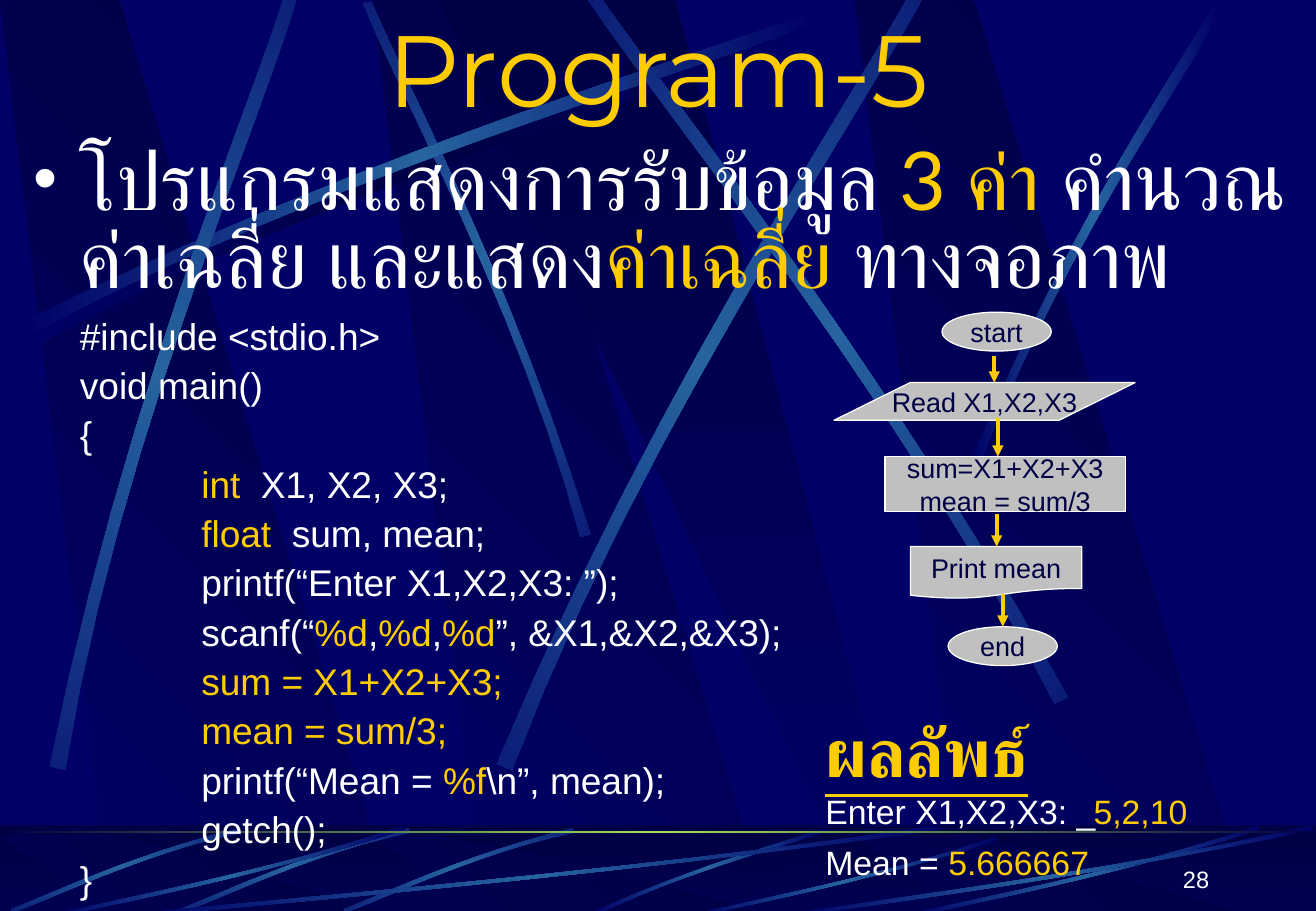
from dataclasses import dataclass
from typing import Any, NamedTuple

import pptx
import pptx.util
import pptx.dml.color
import pptx.enum.shapes
import pptx.enum.text
import pptx.oxml.ns
from lxml import etree

KIND = pptx.enum.shapes.MSO_SHAPE
ALIGN = pptx.enum.text.PP_ALIGN
ANCHOR = pptx.enum.text.MSO_ANCHOR
qn = pptx.oxml.ns.qn


@dataclass(frozen=True)
class Theme:
    navy: str = "000066"
    dark: str = "000044"
    steel: str = "2663A0"
    lime: str = "9CE157"
    gold: str = "FFCC00"
    white: str = "FFFFFF"
    grey: str = "C0C0C0"
    sans: str = "Arial"
    thai: str = "Lato"
    head: str = "Montserrat"
    title: int = 60
    body: int = 48
    result: int = 40
    code: int = 22
    out: int = 20
    node: int = 16
    page: int = 14


T = Theme()
CELL = pptx.util.Inches(0.1)  # one column or row of the grid
COLS, ROWS = 108.4, 75


class Box(NamedTuple):
    col: float
    row: float
    wide: float
    high: float


class Run(NamedTuple):
    text: str
    tint: str = T.white


class Line(NamedTuple):
    runs: list[Run]
    indent: float = 0


class Style(NamedTuple):
    size: int
    font: str = T.sans
    align: Any = ALIGN.LEFT
    space: float = 0
    pitch: float = 1.0
    bold: bool = False
    bullet: bool = False


class Streak(NamedTuple):
    box: Box
    turn: float = 0
    flip: str = ""


class Node(NamedTuple):
    kind: Any
    box: Box
    lines: list[str]


class Arrow(NamedTuple):
    col: float
    start: float
    end: float


SLANT = [(0.28, 1), (1, 1), (0.3, 0), (0, 0)]
WEDGE = [(0, 0), (0.9, 1), (1, 1), (0.5, 0)]
# Two cubic edges of a light streak, as shares of its box
EDGES = [[(0, 0.96), (0.43, 0.43), (0.83, 0.15), (0.99, 0)],
         [(1, 0.03), (0.84, 0.19), (0.38, 0.5), (0.01, 1)]]
SKY = [Streak(Box(17.1, 12.7, 44.2, 19), 45, "h"), Streak(Box(1.6, 1, 65.9, 26.7)),
       Streak(Box(-16, 17.1, 60.8, 28.9), 311.7), Streak(Box(25, 16, 67.6, 30.1), 321.6),
       Streak(Box(35, 15.2, 65.9, 26.7), 34.8, "h"), Streak(Box(79.9, 0, 20.5, 39.7))]
GROUND = [Streak(Box(48.6, 68.2, 19.5, 7.3)),
          *(Streak(Box(col, 67.2, 18.2, 9), 314.9, "h") for col in (28.7, 15.2, 1.3)),
          *(Streak(Box(col, 75.5 - high, wide, high), 0, "hv") for col, wide, high in
            [(10.8, 66.8, 7.5), (4.5, 28.9, 7.5), (57.1, 25.1, 6.6),
             (74.9, 28.9, 7.5), (65, 43.3, 7.5)])]

NODES = [Node(KIND.OVAL, Box(77.6, 25.7, 9, 3.2), ["start"]),
         Node(KIND.PARALLELOGRAM, Box(68.7, 31.5, 24.8, 3.1), ["Read X1,X2,X3"]),
         Node(KIND.RECTANGLE, Box(72.9, 37.6, 19.8, 4.5), ["sum=X1+X2+X3", "mean = sum/3"]),
         Node(KIND.FLOWCHART_DOCUMENT, Box(75, 45, 14.1, 4.3), ["Print mean"]),
         Node(KIND.OVAL, Box(78.1, 51.6, 9, 3.2), ["end"])]
ARROWS = [Arrow(81.9, 29.3, 31.5), Arrow(82.2, 34.4, 37.6),
          Arrow(82.1, 42.3, 45), Arrow(82.6, 48.9, 51.6)]

TASK = [Line([Run("โปรแกรมแสดงการรับข้อมูล "), Run("3 ค่า", T.gold),
              Run(" คำนวณค่าเฉลี่ย และแสดง"), Run("ค่าเฉลี่ย", T.gold), Run(" ทางจอภาพ")], 3.8)]
OUTER, INNER = 3.8, 13.8
CODE = [Line([Run("#include <stdio.h>")], OUTER),
        Line([Run("void main()")], OUTER),
        Line([Run("{")], OUTER),
        Line([Run("int ", T.gold), Run(" X1, X2, X3;")], INNER),
        Line([Run("float  ", T.gold), Run("sum, mean;")], INNER),
        Line([Run("printf(“Enter X1,X2,X3: ”);")], INNER),
        Line([Run("scanf(“"), Run("%d", T.gold), Run(","), Run("%d", T.gold), Run(","),
              Run("%d", T.gold), Run("”, &X1,&X2,&X3);")], INNER),
        Line([Run("sum = X1+X2+X3;", T.gold)], INNER),
        Line([Run("mean = sum/3;", T.gold)], INNER),
        Line([Run("printf(“Mean = "), Run("%f", T.gold), Run("\\n”, mean);")], INNER),
        Line([Run("getch();")], INNER),
        Line([Run("}")], OUTER)]
OUTPUT = [(Box(67, 64.6, 34.7, 4.4), [Run("Enter X1,X2,X3: _")]),
          (Box(89.1, 64.6, 11.2, 4.4), [Run("5,2,10", T.gold)]),
          (Box(67, 68.8, 27.3, 4.4), [Run("Mean = "), Run("5.666667", T.gold)])]


def cells(*counts: float) -> list[int]:
    return [round(count * CELL) for count in counts]


def rgb(tint: str) -> Any:
    return pptx.dml.color.RGBColor.from_string(tint)


def blend(shape: Any, tints: list[str], angle: float) -> None:
    """Fill with evenly spaced stops; the angle runs clockwise."""
    shape.fill.gradient()
    shape.fill.gradient_angle = -angle % 360
    stops = shape.element.find(".//" + qn("a:gsLst"))
    for stop in list(stops):
        stops.remove(stop)
    for rank, tint in enumerate(tints):
        stop = etree.SubElement(stops, qn("a:gs"), pos=str(100000 * rank // (len(tints) - 1)))
        etree.SubElement(stop, qn("a:srgbClr"), val=tint)


def bare(shape: Any) -> Any:
    shape.shadow.inherit = False
    shape.line.fill.background()
    return shape


def outline(shapes: Any, box: Box, points: list[tuple[float, float]]) -> Any:
    spots = [tuple(cells(box.col + x * box.wide, box.row + y * box.high)) for x, y in points]
    pen = shapes.build_freeform(*spots[0])
    pen.add_line_segments(spots[1:], close=True)
    return bare(pen.convert_to_shape())


def curve(ends: list[tuple[float, float]], steps: int = 12) -> list[tuple[float, float]]:
    """Points along a cubic Bézier curve."""
    points = []
    for step in range(steps + 1):
        t = step / steps
        parts = ((1 - t) ** 3, 3 * t * (1 - t) ** 2, 3 * t * t * (1 - t), t ** 3)
        points.append((sum(w * x for w, (x, _) in zip(parts, ends)),
                       sum(w * y for w, (_, y) in zip(parts, ends))))
    return points


def add_streak(shapes: Any, streak: Streak, glow: str = T.steel) -> None:
    points = [(1 - x if "h" in streak.flip else x, 1 - y if "v" in streak.flip else y)
              for edge in EDGES for x, y in curve(edge)]
    shape = outline(shapes, streak.box, points)
    shape.rotation = streak.turn
    blend(shape, [T.navy, glow, T.navy], 0)


def add_bands(shapes: Any, row: float, high: float) -> None:
    for col in (30.7, 0, 70.4):
        blend(outline(shapes, Box(col, row, 32.7, high), SLANT), [T.navy, T.dark], 315)
    blend(outline(shapes, Box(36.1, row, 39.1, high), WEDGE), [T.dark, T.navy], 90)


def add_strip(shapes: Any, box: Box) -> Any:
    return bare(shapes.add_shape(KIND.RECTANGLE, *cells(*box)))


def add_scene(shapes: Any) -> None:
    add_bands(shapes, 0, 75.2)
    add_streak(shapes, Streak(Box(2.2, 1.8, 65.9, 26.7)), T.dark)
    for streak in SKY:
        add_streak(shapes, streak)
    blend(add_strip(shapes, Box(0, 68, COLS, 7.5)), [T.dark, T.navy], 90)
    add_bands(shapes, 68.8, 6.6)
    haze = add_strip(shapes, Box(0, 67.9, COLS, 7.5))
    haze.fill.solid()
    haze.fill.fore_color.rgb = rgb(T.dark)
    etree.SubElement(haze.element.find(".//" + qn("a:srgbClr")), qn("a:alpha"), val="50000")
    for streak in GROUND:
        add_streak(shapes, streak)
    blend(add_strip(shapes, Box(0, 68.4, COLS, 0.2)), [T.dark, T.lime, T.dark], 0)


def write(frame: Any, lines: list[Line], style: Style) -> None:
    for rank, line in enumerate(lines):
        para = frame.paragraphs[0] if rank == 0 else frame.add_paragraph()
        para.alignment, para.line_spacing = style.align, style.pitch
        para.space_before = pptx.util.Pt(style.space if rank else 0)
        props = para._p.get_or_add_pPr()
        props.set("marL", str(cells(line.indent)[0]))
        props.set("indent", str(cells(-line.indent)[0] if style.bullet else 0))
        if style.bullet:
            etree.SubElement(props, qn("a:buSzPct"), val="85000")
            etree.SubElement(props, qn("a:buFont"), typeface=T.sans)
            etree.SubElement(props, qn("a:buChar"), char="•")
        for part in line.runs:
            run = para.add_run()
            run.text = part.text
            font = run.font
            font.name, font.size = style.font, pptx.util.Pt(style.size)
            font.color.rgb = rgb(part.tint)
            font.bold = font.underline = style.bold
            etree.SubElement(run._r.get_or_add_rPr(), qn("a:cs"), typeface=style.font)


def add_text(shapes: Any, box: Box, lines: list[Line], style: Style,
             anchor: Any = ANCHOR.TOP) -> None:
    frame = shapes.add_textbox(*cells(*box)).text_frame
    frame.word_wrap, frame.vertical_anchor = True, anchor
    write(frame, lines, style)


def add_node(shapes: Any, node: Node) -> None:
    shape = shapes.add_shape(node.kind, *cells(*node.box))
    shape.shadow.inherit = False
    shape.fill.solid()
    shape.fill.fore_color.rgb = rgb(T.grey)
    shape.line.color.rgb, shape.line.width = rgb(T.white), pptx.util.Pt(0.75)
    if node.kind == KIND.PARALLELOGRAM:
        shape.adjustments[0] = 2.02
    frame = shape.text_frame
    frame.word_wrap, frame.vertical_anchor = False, ANCHOR.MIDDLE
    write(frame, [Line([Run(text, T.dark)]) for text in node.lines],
          Style(T.node, align=ALIGN.CENTER))


def add_arrow(shapes: Any, arrow: Arrow) -> None:
    link = shapes.add_connector(pptx.enum.shapes.MSO_CONNECTOR.STRAIGHT,
                                *cells(arrow.col, arrow.start, arrow.col, arrow.end))
    link.line.color.rgb, link.line.width = rgb(T.gold), pptx.util.Pt(2.25)
    etree.SubElement(link.line._get_or_add_ln(), qn("a:tailEnd"), type="triangle")
    etree.SubElement(link.element.spPr, qn("a:effectLst"))


def add_title(shapes: Any) -> None:
    title = shapes.title
    title.element.getparent().append(title.element)
    title.left, title.top, title.width, title.height = cells(0, 0, COLS, 11)
    title.text_frame.vertical_anchor = ANCHOR.MIDDLE
    write(title.text_frame, [Line([Run("Program-5", T.gold)])],
          Style(T.title, T.head, ALIGN.CENTER))


def main() -> None:
    deck = pptx.Presentation()
    deck.slide_width, deck.slide_height = cells(COLS, ROWS)
    slide = deck.slides.add_slide(deck.slide_layouts.get_by_name("Title Only"))
    slide.background.fill.solid()
    slide.background.fill.fore_color.rgb = rgb(T.navy)
    shapes = slide.shapes
    add_scene(shapes)
    add_text(shapes, Box(78, 69, 22.6, 5), [Line([Run("28")])],
             Style(T.page, align=ALIGN.RIGHT), ANCHOR.BOTTOM)
    add_title(shapes)
    add_text(shapes, Box(1.8, 11.7, 106.5, 14.8), TASK,
             Style(T.body, T.thai, pitch=0.8, bullet=True))
    for node in NODES:
        add_node(shapes, node)
    for arrow in ARROWS:
        add_arrow(shapes, arrow)
    add_text(shapes, Box(1.8, 25.7, 106.5, 49.3), CODE, Style(T.code, space=5.5, pitch=0.9))
    add_text(shapes, Box(67, 58, 20.8, 7.7), [Line([Run("ผลลัพธ์", T.gold)])],
             Style(T.result, T.thai, bold=True))
    for box, runs in OUTPUT:
        add_text(shapes, box, [Line(runs)], Style(T.out))
    deck.save("out.pptx")


if __name__ == "__main__":
    main()
